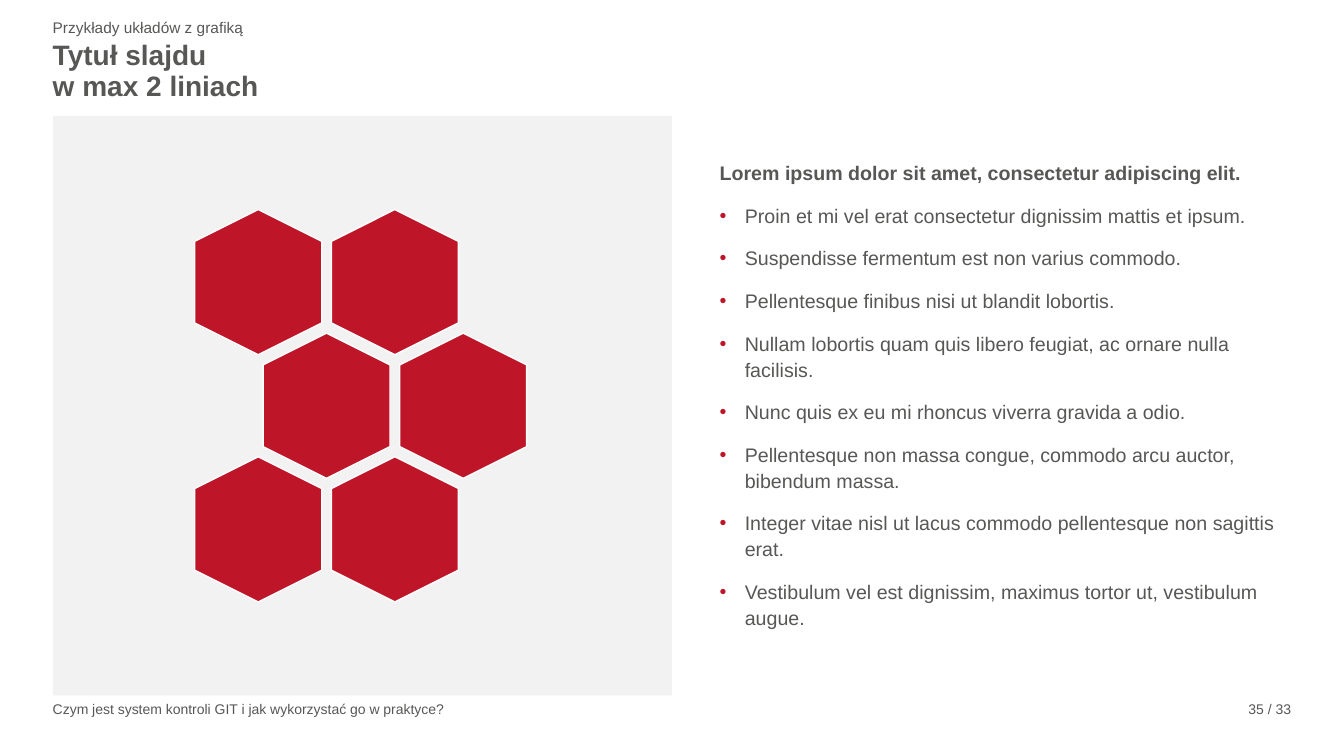
from lxml import etree
from pptx import Presentation
from pptx.dml.color import RGBColor
from pptx.enum import shapes, text
from pptx.oxml import ns
from pptx.util import Pt

GREY = RGBColor(0x57, 0x57, 0x56)
LIGHT_GREY = RGBColor(0xF2, 0xF2, 0xF2)
RED = RGBColor(0xBF, 0x15, 0x28)
WHITE = RGBColor(0xFF, 0xFF, 0xFF)

LEFT_MARGIN = 37.7
BULLET_INDENT = 18

# Honeycomb: each hexagon is drawn lying down and turned by 90 degrees
HEXAGON_LENGTH, HEXAGON_WIDTH = 103.7, 90.7
HONEYCOMB_LEFT, HONEYCOMB_TOP = 132.6, 156.2
COLUMN_STEP, ROW_STEP = 97.6, 88.3
ROWS, COLUMNS = 3, 2

HEADING = "Lorem ipsum dolor sit amet, consectetur adipiscing elit."
BULLETS = [
    "Proin et mi vel erat consectetur dignissim mattis et ipsum.",
    "Suspendisse fermentum est non varius commodo.",
    "Pellentesque finibus nisi ut blandit lobortis.",
    "Nullam lobortis quam quis libero feugiat, ac ornare nulla facilisis.",
    "Nunc quis ex eu mi rhoncus viverra gravida a odio.",
    "Pellentesque non massa congue, commodo arcu auctor, bibendum massa.",
    "Integer vitae nisl ut lacus commodo pellentesque non sagittis erat.",
    "Vestibulum vel est dignissim, maximus tortor ut, vestibulum augue.",
]


def add_text(slide, box, content, size, bold=False, inset=3.6, spacing=1.0,
             after=0, align=text.PP_ALIGN.LEFT, anchor=text.MSO_ANCHOR.TOP):
    """Add a text box; each line of content becomes a paragraph."""
    frame = slide.shapes.add_textbox(*map(Pt, box)).text_frame
    frame.word_wrap = True
    frame.vertical_anchor = anchor
    frame.margin_left = frame.margin_right = 0
    frame.margin_top = frame.margin_bottom = Pt(inset)
    frame.text = content
    for paragraph in frame.paragraphs:
        paragraph.alignment = align
        paragraph.line_spacing = spacing
        paragraph.space_after = Pt(after)
        for run in paragraph.runs:
            run.font.name = "Arial"
            run.font.size = Pt(size)
            run.font.bold = bold
            run.font.color.rgb = GREY
    return frame


def add_bullet(paragraph):
    """Give the paragraph a red bullet with a hanging indent."""
    properties = paragraph._p.get_or_add_pPr()
    properties.set("marL", str(Pt(BULLET_INDENT)))
    properties.set("indent", str(-Pt(BULLET_INDENT)))
    colour = etree.SubElement(properties, ns.qn("a:buClr"))
    etree.SubElement(colour, ns.qn("a:srgbClr"), val=str(RED))
    etree.SubElement(properties, ns.qn("a:buFont"), typeface="Arial")
    etree.SubElement(properties, ns.qn("a:buChar"), char="•")


def add_filled_shape(slide, kind, box, fill):
    shape = slide.shapes.add_shape(kind, *map(Pt, box))
    shape.shadow.inherit = False
    shape.fill.solid()
    shape.fill.fore_color.rgb = fill
    shape.line.fill.background()
    return shape


def add_hexagon(slide, row, column):
    """Add one honeycomb cell; odd rows shift by half a column."""
    left = HONEYCOMB_LEFT + (column + row % 2 / 2) * COLUMN_STEP
    top = HONEYCOMB_TOP + row * ROW_STEP
    hexagon = add_filled_shape(slide, shapes.MSO_SHAPE.HEXAGON,
                               (left, top, HEXAGON_LENGTH, HEXAGON_WIDTH), RED)
    hexagon.adjustments[0] = 0.25
    hexagon.rotation = 90
    hexagon.line.color.rgb = WHITE
    hexagon.line.width = Pt(1)


def main():
    presentation = Presentation()
    presentation.slide_width, presentation.slide_height = Pt(960), Pt(540)
    slide = presentation.slides.add_slide(presentation.slide_layouts[6])

    # Panel with the honeycomb
    add_filled_shape(slide, shapes.MSO_SHAPE.RECTANGLE,
                     (38, 82.8, 442, 414), LIGHT_GREY)
    for row in range(ROWS):
        for column in range(COLUMNS):
            add_hexagon(slide, row, column)

    # Header
    add_text(slide, (LEFT_MARGIN, 12, 748, 14.4), "Przykłady układów z grafiką",
             11, spacing=1.1, after=12, anchor=text.MSO_ANCHOR.MIDDLE)
    add_text(slide, (LEFT_MARGIN, 26.3, 748, 57), "Tytuł slajdu \vw max 2 liniach",
             20, bold=True, spacing=0.9)

    # Body text: bold heading, then bullets
    body = add_text(slide, (514, 109.7, 408.4, 353.5), "\n".join([HEADING] + BULLETS),
                    14, spacing=1.1, after=12)
    heading, *bullets = body.paragraphs
    heading.runs[0].font.bold = True
    for paragraph in bullets:
        add_bullet(paragraph)

    # Footer
    add_text(slide, (LEFT_MARGIN, 500.4, 740, 14.4),
             "Czym jest system kontroli GIT i jak wykorzystać go w praktyce?", 10, inset=0)
    add_text(slide, (787, 500.4, 135.2, 14.4), "35 / 33", 10, inset=0,
             align=text.PP_ALIGN.RIGHT)

    presentation.save("out.pptx")


if __name__ == "__main__":
    main()
